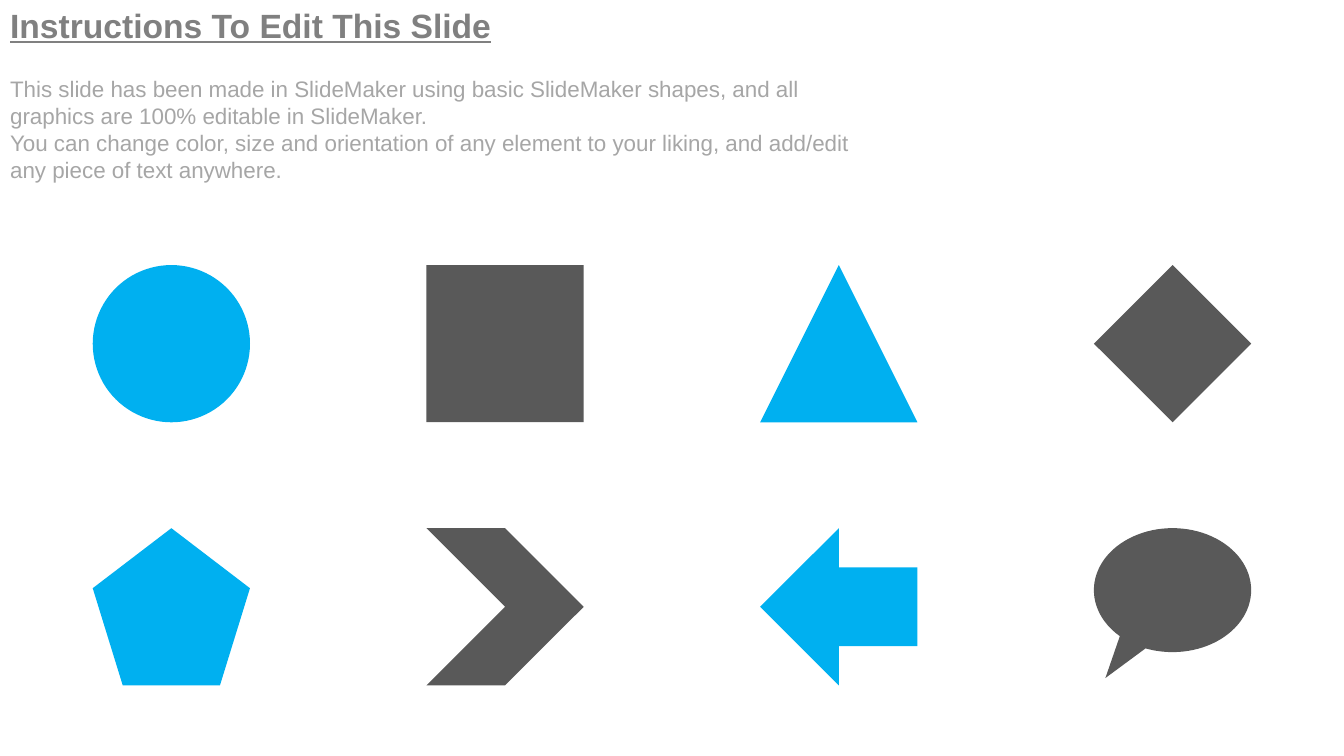
import dataclasses

import pptx
import pptx.dml.color
import pptx.enum.shapes
import pptx.enum.text
import pptx.oxml
import pptx.util

Inches = pptx.util.Inches
Pt = pptx.util.Pt
Kind = pptx.enum.shapes.MSO_SHAPE

COLOURS = {"title": "808080", "body": "A6A6A6", "blue": "00B0F0", "grey": "595959"}
FONT = "Arial"

# Grid of sample shapes, in inches
GRID_LEFT, GRID_TOP = 0.92, 2.63
COLUMN_STEP, ROW_STEP = 3.31, 2.61
SIDE = 1.56
COLUMNS = 4
TEXT_WIDTH = 8.83


@dataclasses.dataclass(frozen=True)
class Sample:
    kind: Kind
    height: float = SIDE
    adjustments: tuple[float, ...] = ()


@dataclasses.dataclass(frozen=True)
class TextStyle:
    size: int
    colour: str
    bold: bool = False
    underline: bool = False


SAMPLES = [
    Sample(Kind.OVAL),
    Sample(Kind.RECTANGLE),
    Sample(Kind.ISOSCELES_TRIANGLE),
    Sample(Kind.DIAMOND),
    Sample(Kind.REGULAR_PENTAGON),
    Sample(Kind.CHEVRON),
    Sample(Kind.LEFT_ARROW),
    Sample(Kind.OVAL_CALLOUT, 1.23, (-0.427, 0.709)),
]

TITLE = "Instructions To Edit This Slide"
BODY = [
    "This slide has been made in SlideMaker using basic SlideMaker shapes, "
    "and all graphics are 100% editable in SlideMaker.",
    "You can change color, size and orientation of any element to your liking, "
    "and add/edit any piece of text anywhere.",
]


def rgb(name: str) -> pptx.dml.color.RGBColor:
    return pptx.dml.color.RGBColor.from_string(COLOURS[name])


def fill_placeholder(box, top: float, height: float, lines: list[str], style: TextStyle) -> None:
    """Place a placeholder at the left edge and set plain, unbulleted lines in it."""
    box.left, box.top = Inches(0), Inches(top)
    box.width, box.height = Inches(TEXT_WIDTH), Inches(height)
    frame = box.text_frame
    frame.text = "\n".join(lines)
    frame.word_wrap = True
    frame.auto_size = pptx.enum.text.MSO_AUTO_SIZE.NONE
    frame.vertical_anchor = pptx.enum.text.MSO_ANCHOR.TOP
    for para in frame.paragraphs:
        para.alignment = pptx.enum.text.PP_ALIGN.LEFT
        para.line_spacing = 1.0
        para.space_before = para.space_after = Pt(0)
        properties = para._p.get_or_add_pPr()
        properties.set("marL", "0")
        properties.set("indent", "0")
        properties.append(pptx.oxml.parse_xml(
            '<a:buNone xmlns:a="http://schemas.openxmlformats.org/drawingml/2006/main"/>'))
        for span in para.runs:
            span.font.name = FONT
            span.font.size = Pt(style.size)
            span.font.bold = style.bold
            span.font.underline = style.underline
            span.font.color.rgb = rgb(style.colour)


def add_sample(page, index: int, sample: Sample) -> None:
    """Draw one shape in its grid cell, colours alternating by column."""
    row, column = divmod(index, COLUMNS)
    shape = page.shapes.add_shape(
        sample.kind,
        Inches(GRID_LEFT + column * COLUMN_STEP),
        Inches(GRID_TOP + row * ROW_STEP),
        Inches(SIDE),
        Inches(sample.height),
    )
    shape.shadow.inherit = False
    shape.fill.solid()
    shape.fill.fore_color.rgb = rgb("grey" if column % 2 else "blue")
    shape.line.fill.background()
    for number, value in enumerate(sample.adjustments):
        shape.adjustments[number] = value


def main() -> None:
    deck = pptx.Presentation()
    deck.slide_width, deck.slide_height = Inches(13.33), Inches(7.5)
    page = deck.slides.add_slide(deck.slide_layouts[1])

    # Heading and instructions
    fill_placeholder(page.shapes.title, 0, 0.5, [TITLE],
                     TextStyle(24, "title", bold=True, underline=True))
    fill_placeholder(page.placeholders[1], 0.7, 1.29, BODY, TextStyle(16, "body"))

    # Sample shapes
    for index, sample in enumerate(SAMPLES):
        add_sample(page, index, sample)

    deck.save("out.pptx")


if __name__ == "__main__":
    main()
